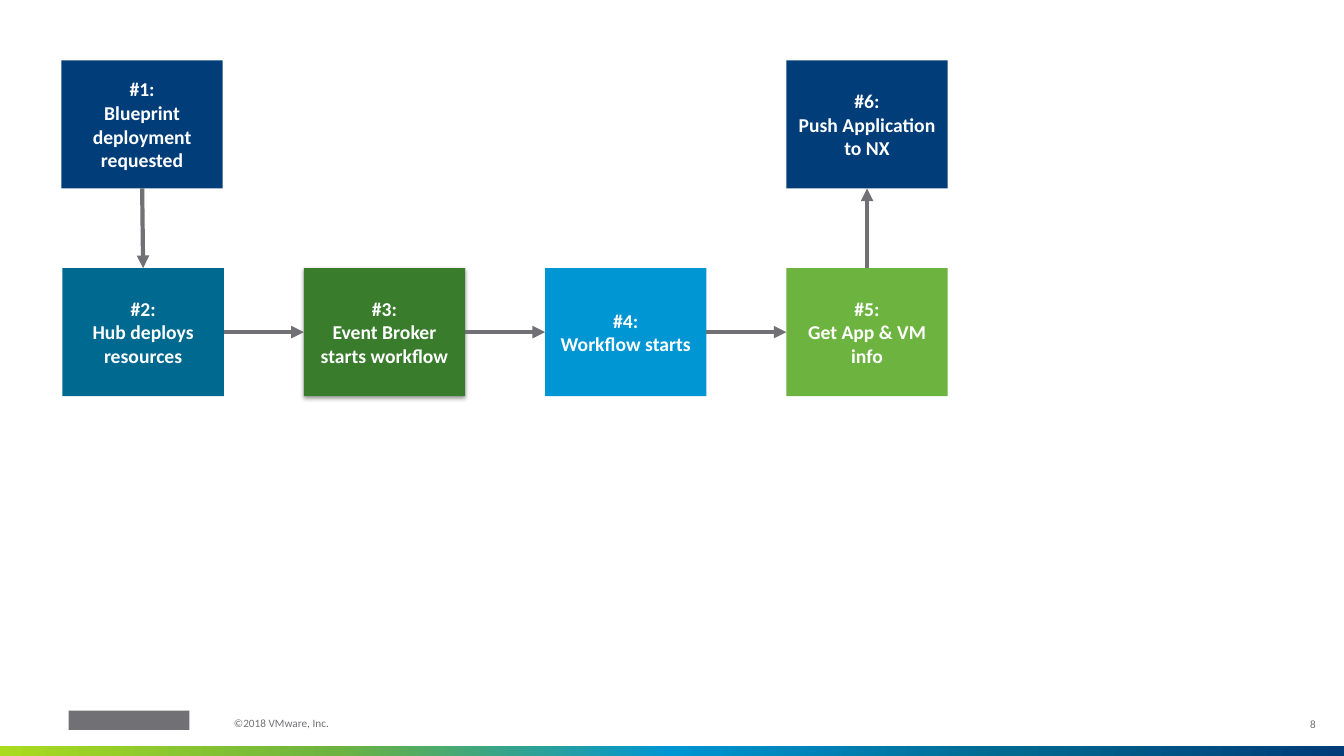
from lxml.etree import SubElement
from pptx import Presentation
from pptx.dml.color import RGBColor as RGB
from pptx.enum.shapes import MSO_CONNECTOR as Link, MSO_SHAPE as Shape
from pptx.enum.text import MSO_ANCHOR as Anchor, PP_ALIGN as Align
from pptx.oxml.ns import qn
from pptx.util import Inches, Pt

# Content: heading, text, column, row, fill, shadow
STEPS = [
    ("#1:", "Blueprint deployment requested", 0, 0, "navy", False),
    ("#2:", "Hub deploys resources", 0, 1, "teal", False),
    ("#3:", "Event Broker starts workflow", 1, 1, "green", True),
    ("#4:", "Workflow starts", 2, 1, "blue", False),
    ("#5:", "Get App & VM info", 3, 1, "lime", False),
    ("#6:", "Push Application to NX", 3, 0, "navy", False),
]
NOTICE = "©2018 VMware, Inc."
PAGE = "8"

# Theme
THEME = {
    "font": "Calibri", "step": 14, "foot": 8, "arrow": 3,
    "navy": "003D79", "teal": "006990", "green": "387C2C", "blue": "0095D3",
    "lime": "6DB33F", "acid": "AADB1E", "gray": "717074", "white": "FFFFFF",
}
BAND = ["acid", "lime", "blue", "teal", "navy"]

# Layout in inches
WIDE, HIGH = 13.33, 7.5
LEFT, RIGHT, TOP, LOW = 0.62, 7.8, 0.6, 2.66
BOX_W, BOX_H = 1.6, 1.27
STEP_X = (RIGHT - LEFT) / 3
NUDGE = 0.01  # the first box sits slightly left of its column
TOP_SITE, LEFT_SITE, LOW_SITE, RIGHT_SITE = range(4)


def color(name):
    return RGB.from_string(THEME[name])


def write(shape, *lines, size="foot", ink="gray", bold=False,
          align=Align.LEFT, anchor=Anchor.TOP, space=None, inset=None):
    frame = shape.text_frame
    frame.word_wrap = True
    frame.vertical_anchor = anchor
    if inset is not None:
        frame.margin_left = frame.margin_right = Inches(inset)
        frame.margin_top = frame.margin_bottom = Inches(inset)
    for i, line in enumerate(lines):
        para = frame.add_paragraph() if i else frame.paragraphs[0]
        para.alignment = align
        if space:
            para.line_spacing = space
        run = para.add_run()
        run.text = line
        run.font.name = THEME["font"]
        run.font.size = Pt(THEME[size])
        run.font.bold = bold
        run.font.color.rgb = color(ink)


def block(slide, x, y, w, h, fill):
    shape = slide.shapes.add_shape(
        Shape.RECTANGLE, Inches(x), Inches(y), Inches(w), Inches(h))
    shape.shadow.inherit = False
    shape.fill.solid()
    shape.fill.fore_color.rgb = color(fill)
    shape.line.fill.background()
    return shape


def label(slide, x, y, w, h, text, **style):
    box = slide.shapes.add_textbox(Inches(x), Inches(y), Inches(w), Inches(h))
    write(box, text, space=0.9, inset=0, **style)


def blend(shape, names):
    shape.fill.gradient()
    shape.fill.gradient_angle = 0
    stops = shape._element.spPr.find(".//" + qn("a:gsLst"))
    for stop in list(stops):
        stops.remove(stop)
    for i, name in enumerate(names):
        stop = SubElement(stops, qn("a:gs"), pos=str(i * 100000 // (len(names) - 1)))
        SubElement(stop, qn("a:srgbClr"), val=THEME[name])


def shade(shape):
    effects = shape._element.spPr.find(qn("a:effectLst"))
    shadow = SubElement(effects, qn("a:outerShdw"), blurRad=str(Pt(3.1)),
                        dist=str(Pt(1.6)), dir="5400000", rotWithShape="0")
    tint = SubElement(shadow, qn("a:srgbClr"), val="000000")
    SubElement(tint, qn("a:alpha"), val="38000")


def arrow(slide, start, out, end, into):
    line = slide.shapes.add_connector(Link.STRAIGHT, 0, 0, 0, 0)
    line.begin_connect(start, out)
    line.end_connect(end, into)
    line.line.color.rgb = color("gray")
    line.line.width = Pt(THEME["arrow"])
    SubElement(line.line._get_or_add_ln(), qn("a:tailEnd"), type="triangle")
    SubElement(line._element.spPr, qn("a:effectLst"))


def main():
    deck = Presentation()
    deck.slide_width, deck.slide_height = Inches(WIDE), Inches(HIGH)
    slide = deck.slides.add_slide(deck.slide_layouts[6])

    # Footer
    blend(block(slide, 0, 7.4, WIDE, 0.1, "navy"), BAND)
    block(slide, 0.68, 7.05, 1.2, 0.19, "gray")
    label(slide, 12.57, 6.99, 0.48, 0.4, PAGE,
          align=Align.RIGHT, anchor=Anchor.MIDDLE)
    label(slide, 2.32, 7.12, 2.15, 0.16, NOTICE)

    # Step boxes
    boxes = []
    for i, (head, text, col, row, fill, lift) in enumerate(STEPS):
        x = LEFT + col * STEP_X - (0 if i else NUDGE)
        box = block(slide, x, LOW if row else TOP, BOX_W, BOX_H, fill)
        write(box, head, text, size="step", ink="white", bold=True,
              align=Align.CENTER, anchor=Anchor.MIDDLE)
        if lift:
            shade(box)
        boxes.append(box)

    # Arrows from each step to the next
    for i in range(len(boxes) - 1):
        row, after = STEPS[i][3], STEPS[i + 1][3]
        if row == after:
            sites = RIGHT_SITE, LEFT_SITE
        elif row < after:
            sites = LOW_SITE, TOP_SITE
        else:
            sites = TOP_SITE, LOW_SITE
        arrow(slide, boxes[i], sites[0], boxes[i + 1], sites[1])

    deck.save("out.pptx")


if __name__ == "__main__":
    main()
